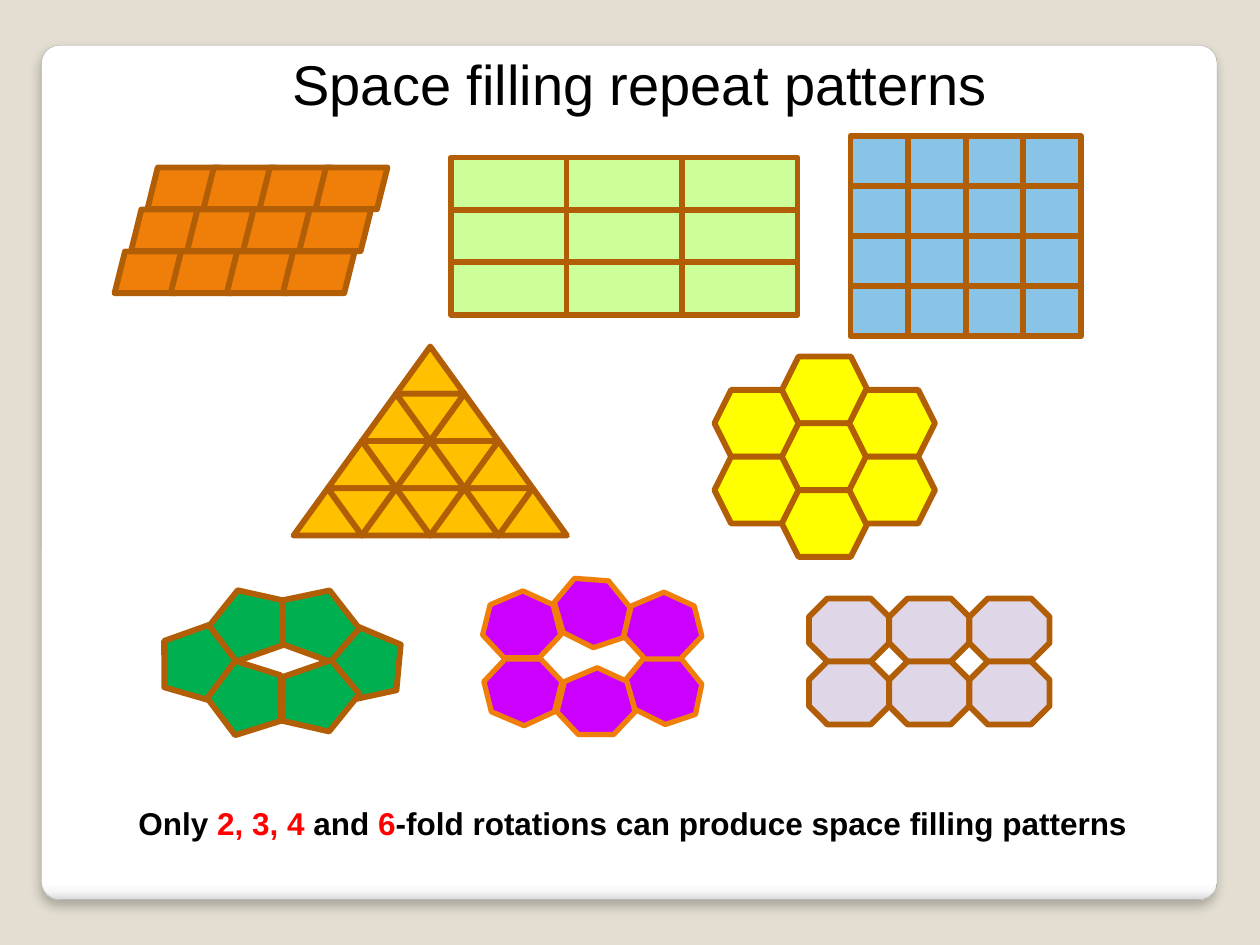
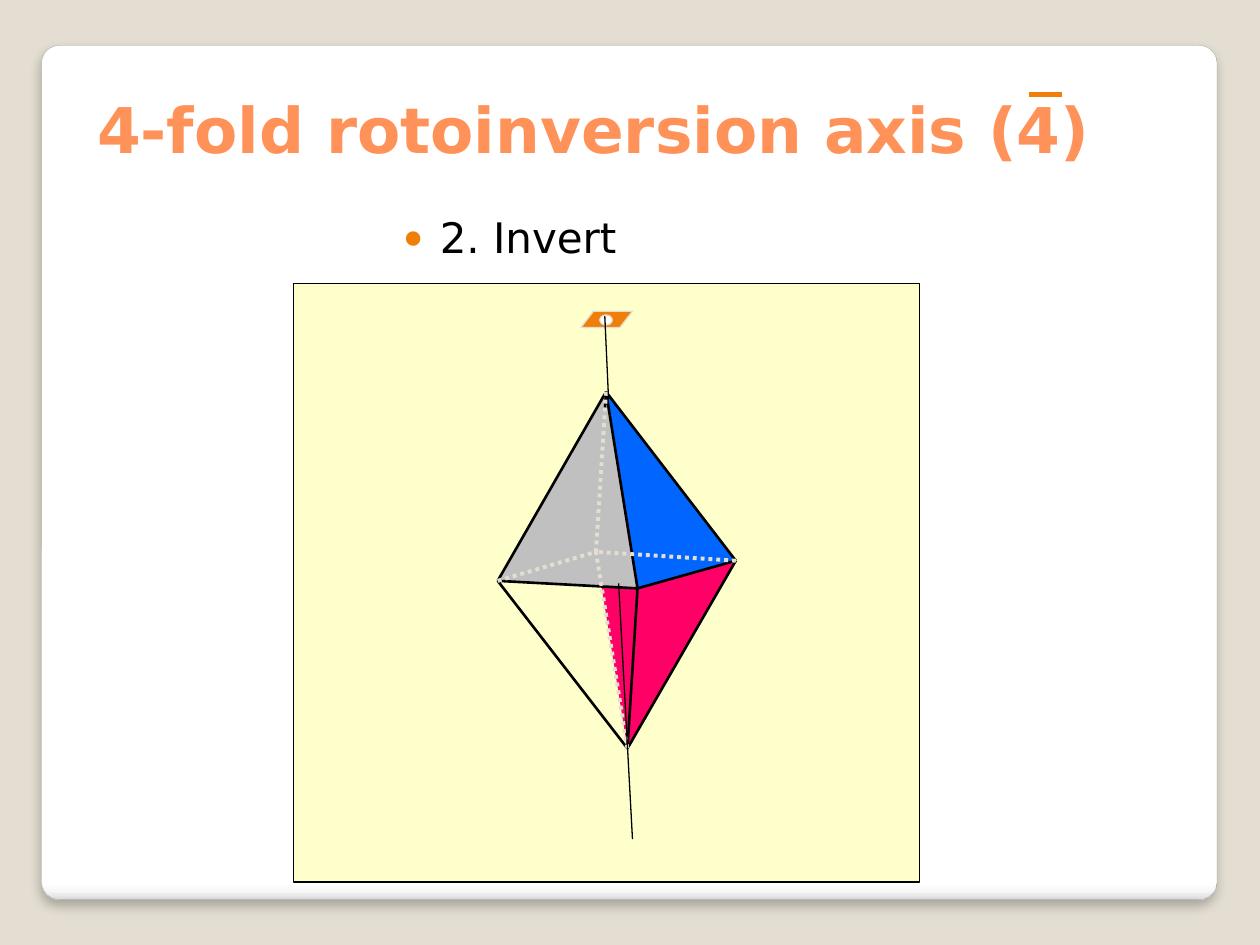
from dataclasses import dataclass

from lxml import etree
from pptx import Presentation
from pptx.dml.color import RGBColor
from pptx.enum import dml, shapes, text
from pptx.oxml.ns import qn
from pptx.util import Inches, Pt

KIND = shapes.MSO_SHAPE


@dataclass(frozen=True)
class Theme:
    back: str = "E3DED1"
    rim: str = "A4A4A4"
    ink: str = "000000"
    white: str = "FFFFFF"
    red: str = "FF0000"
    orange: str = "F07F09"
    brown: str = "B25E07"
    peach: str = "FF9258"
    lime: str = "CCFF99"
    sky: str = "89C3E5"
    gold: str = "FFC000"
    yellow: str = "FFFF00"
    green: str = "00B050"
    violet: str = "CC00FF"
    lilac: str = "DFD7E7"
    cream: str = "FFFFCC"
    pink: str = "FF0066"
    blue: str = "0066FF"
    grey: str = "C0C0C0"
    sans: str = "Arial"
    deja: str = "DejaVu Sans"
    plain: int = 32
    head: int = 36
    body: int = 24
    note: int = 18
    tile: float = 3.35


T = Theme()


# Shared helpers
def rgb(code):
    return RGBColor.from_string(code)


def inch(*vals):
    return [Inches(v) for v in vals]


def add(tag, parent, **attrs):
    return etree.SubElement(parent, qn(tag), {k: str(v) for k, v in attrs.items()})


def paint(shape, fill, line=None, width=0.75):
    shape.shadow.inherit = False
    shape.fill.solid()
    shape.fill.fore_color.rgb = rgb(fill)
    if line:
        shape.line.color.rgb = rgb(line)
        shape.line.width = Pt(width)
    else:
        shape.line.fill.background()
    return shape


def block(host, kind, box, fill, line=T.brown, width=T.tile):
    return paint(host.add_shape(kind, *inch(*box)), fill, line, width)


def outline(host, pts, fill, line=None, width=0.75):
    pts = [inch(*p) for p in pts]
    pen = host.build_freeform(*pts[0])
    pen.add_line_segments(pts[1:], close=True)
    return paint(pen.convert_to_shape(), fill, line, width)


def stroke(host, a, b, color, width, dash=None):
    line = host.add_connector(shapes.MSO_CONNECTOR.STRAIGHT, *inch(*a, *b))
    line.line.color.rgb = rgb(color)
    line.line.width = Pt(width)
    if dash:
        line.line.dash_style = dash
    add("a:effectLst", line.element.spPr)


def style(para, font, size, color, bold=False):
    para.font.name, para.font.size, para.font.bold = font, Pt(size), bold
    para.font.color.rgb = rgb(color)


def place(shape, box, anchor):
    shape.left, shape.top, shape.width, shape.height = inch(*box)
    frame = shape.text_frame
    frame.word_wrap = True
    frame.auto_size = text.MSO_AUTO_SIZE.NONE
    frame.vertical_anchor = anchor
    return frame


def title(slide, box, words, align, *look):
    frame = place(slide.shapes.title, box, text.MSO_ANCHOR.BOTTOM)
    frame.text = words
    para = frame.paragraphs[0]
    para.alignment = align
    style(para, *look)


# Background and white card, kept on the master
def backdrop(prs, slide):
    master = prs.slide_master
    master.background.fill.solid()
    master.background.fill.fore_color.rgb = rgb(T.back)
    card = block(slide.shapes, KIND.ROUNDED_RECTANGLE,
                 (0.33, 0.36, 9.33, 6.78), T.white, T.rim, 0.16)
    card.adjustments[0] = 0.021
    card.fill.gradient()
    card.fill.gradient_angle = 270
    props = card.element.spPr
    stops = props.find(".//" + qn("a:gsLst"))
    for old in list(stops):
        stops.remove(old)
    for pos, code in ((0, T.white), (98, T.white), (99, "F7F7F7"), (100, "DADADA")):
        add("a:srgbClr", add("a:gs", stops, pos=pos * 1000), val=code)
    cast = add("a:outerShdw", props.find(qn("a:effectLst")), blurRad=Pt(6),
               dist=Pt(4), dir=5400000, algn="t", rotWithShape=0)
    add("a:alpha", add("a:srgbClr", cast, val=T.ink), val=25000)
    master.shapes.element.insert(2, card.element)


# Tilings
def grid(slide, kind, box, cols, rows, fill, size=None, slant=0):
    x, y, w, h = box
    dx, dy = w / cols, h / rows
    host = slide.shapes.add_group_shape().shapes
    for r in range(rows):
        for c in range(cols):
            spot = (x + c * dx + r * slant, y + r * dy)
            block(host, kind, (*spot, *(size or (dx, dy))), fill)


def pyramid(slide, box, rows):
    x, y, w, h = box
    dx, dy = w / rows, h / rows
    host = slide.shapes.add_group_shape().shapes
    for r in range(rows):
        left, top = x + (rows - 1 - r) * dx / 2, y + r * dy
        for i in range(2 * r + 1):
            tri = block(host, KIND.ISOSCELES_TRIANGLE,
                        (left + i * dx / 2, top, dx, dy), T.gold)
            tri.rotation = 180 * (i % 2)


def comb(slide, x, y):
    w, h, dx = 0.68, 0.53, 0.535
    host = slide.shapes.add_group_shape().shapes
    for col, first, count in ((0, 0.5, 2), (1, 0, 3), (2, 0.5, 2)):
        for r in range(count):
            block(host, KIND.HEXAGON,
                  (x + col * dx, y + (first + r) * h, w, h), T.yellow)


def fives(slide, x, y):
    wide, tall = (0.65, 0.53), (0.59, 0.58)
    host = slide.shapes.add_group_shape().shapes
    for dx, dy, size, turn in (
            (0.41, 0, wide, 340.6), (1.34, 0.31, tall, 275.3),
            (0, 0.32, tall, 233), (0.96, 0, wide, 20.1),
            (0.4, 0.58, tall, 270), (0.96, 0.62, wide, 160.9)):
        block(host, KIND.REGULAR_PENTAGON,
              (x + dx, y + dy, *size), T.green).rotation = turn


def sevens(slide, x, y):
    up = [(0.17, 0.53), (0, 0.35), (0.06, 0.11), (0.32, 0),
          (0.56, 0.11), (0.62, 0.35), (0.45, 0.53)]
    down = [(px, 0.53 - py) for px, py in up]
    tilt = [(0.07, 0.44), (0, 0.2), (0.16, 0.01), (0.43, 0.03),
            (0.6, 0.24), (0.55, 0.48), (0.31, 0.56)]
    host = slide.shapes.add_group_shape().shapes
    for dx, dy, form in ((0, 0.11, up), (0.01, 0.65, down), (0.57, 0, tilt),
                         (0.59, 0.72, up), (1.14, 0.61, tilt), (1.12, 0.12, up)):
        outline(host, [(x + dx + px, y + dy + py) for px, py in form],
                T.violet, T.orange, 3)


def caption(slide, box):
    note = slide.shapes.add_textbox(*inch(*box))
    para = place(note, box, text.MSO_ANCHOR.TOP).paragraphs[0]
    style(para, T.sans, T.note, T.ink, True)
    for words, color in (
            ("Only ", T.ink), ("2, 3, 4 ", T.red), ("and ", T.ink), ("6", T.red),
            ("-fold rotations can produce space filling patterns", T.ink)):
        run = para.add_run()
        run.text = words
        run.font.color.rgb = rgb(color)


def patterns(slide):
    title(slide, (0.58, -0.08, 9, 1.06), "Space filling repeat patterns",
          text.PP_ALIGN.CENTER, T.sans, T.plain, T.ink)
    grid(slide, KIND.PARALLELOGRAM, (1.17, 1.33, 1.78, 1), 4, 3, T.orange,
         (0.57, 0.33), -0.13)
    grid(slide, KIND.RECTANGLE, (3.58, 1.25, 2.75, 1.25), 3, 3, T.lime)
    grid(slide, KIND.RECTANGLE, (6.75, 1.08, 1.83, 1.59), 4, 4, T.sky)
    pyramid(slide, (2.33, 2.75, 2.17, 1.5), 4)
    comb(slide, 5.67, 2.83)
    fives(slide, 1.24, 4.67)
    sevens(slide, 3.83, 4.58)
    grid(slide, KIND.OCTAGON, (6.42, 4.75, 1.91, 1), 3, 2, T.lilac)
    caption(slide, (1, 6.33, 8.17, 0.4))


# Crystal with its rotation axis
def crystal(slide, box):
    x, y = box[:2]
    host = slide.shapes

    def at(px, py):
        return x + px, y + py

    top, foot = at(2.48, 0.86), at(2.65, 3.69)
    left, right = at(1.62, 2.36), at(3.51, 2.2)
    front, back = at(2.73, 2.42), at(2.4, 2.13)

    block(host, KIND.RECTANGLE, box, T.cream, T.ink, 0.75)
    outline(host, (back, right, foot), T.pink)
    outline(host, (top, front, right), T.blue)

    # Four-fold axis mark
    sign = host.add_group_shape().shapes
    mark = block(sign, KIND.PARALLELOGRAM, (*at(2.28, 0.22), 0.41, 0.13),
                 T.orange, T.back, 0.75)
    mark.adjustments[0] = 0.773
    block(sign, KIND.OVAL, (*at(2.43, 0.25), 0.1, 0.08), T.white, T.back, 0.75)
    outline(host, (top, left, front), T.grey)

    # Visible and hidden edges
    edges = host.add_group_shape().shapes
    for a, b in ((top, at(2.47, 1.01)), (top, front), (top, right), (top, left),
                 (front, right), (front, left), (front, foot),
                 (right, foot), (left, foot)):
        stroke(edges, a, b, T.ink, 1.5)
    for end in (left, top, right, foot):
        stroke(edges, end, back, T.back, 2.25, dml.MSO_LINE.ROUND_DOT)

    # Axis above and below
    stroke(host, at(2.47, 0.26), at(2.5, 0.92), T.ink, 0.75)
    stroke(host, at(2.58, 2.38), at(2.69, 4.41), T.ink, 0.75)


def step(slide, box, words):
    frame = place(slide.placeholders[1], box, text.MSO_ANCHOR.TOP)
    frame.margin_left, frame.margin_top = inch(0.2, 0.1)
    frame.text = words
    para = frame.paragraphs[0]
    para.space_before = Pt(0)
    props = para._p.get_or_add_pPr()
    props.set("marL", str(Inches(0.29)))
    props.set("indent", str(Inches(-0.29)))
    add("a:srgbClr", add("a:buClr", props), val=T.orange)
    add("a:buSzPct", props, val=80000)
    add("a:buChar", props, char="●")
    style(para, T.deja, T.body, T.ink)


def inversion(slide):
    title(slide, (0.67, 0, 8.5, 1.37), "4-fold rotoinversion axis (4)",
          text.PP_ALIGN.LEFT, T.deja, T.head, T.peach, True)
    stroke(slide.shapes, (8.17, 0.75), (8.43, 0.75), T.orange, 3)
    step(slide, (3, 1.58, 4.49, 0.58), "2. Invert")
    crystal(slide, (2.33, 2.25, 4.97, 4.75))


def main():
    prs = Presentation()
    prs.slide_width, prs.slide_height = inch(10, 7.5)
    first = prs.slides.add_slide(prs.slide_layouts[5])
    backdrop(prs, first)
    patterns(first)
    inversion(prs.slides.add_slide(prs.slide_layouts[1]))
    prs.save("out.pptx")


if __name__ == "__main__":
    main()
